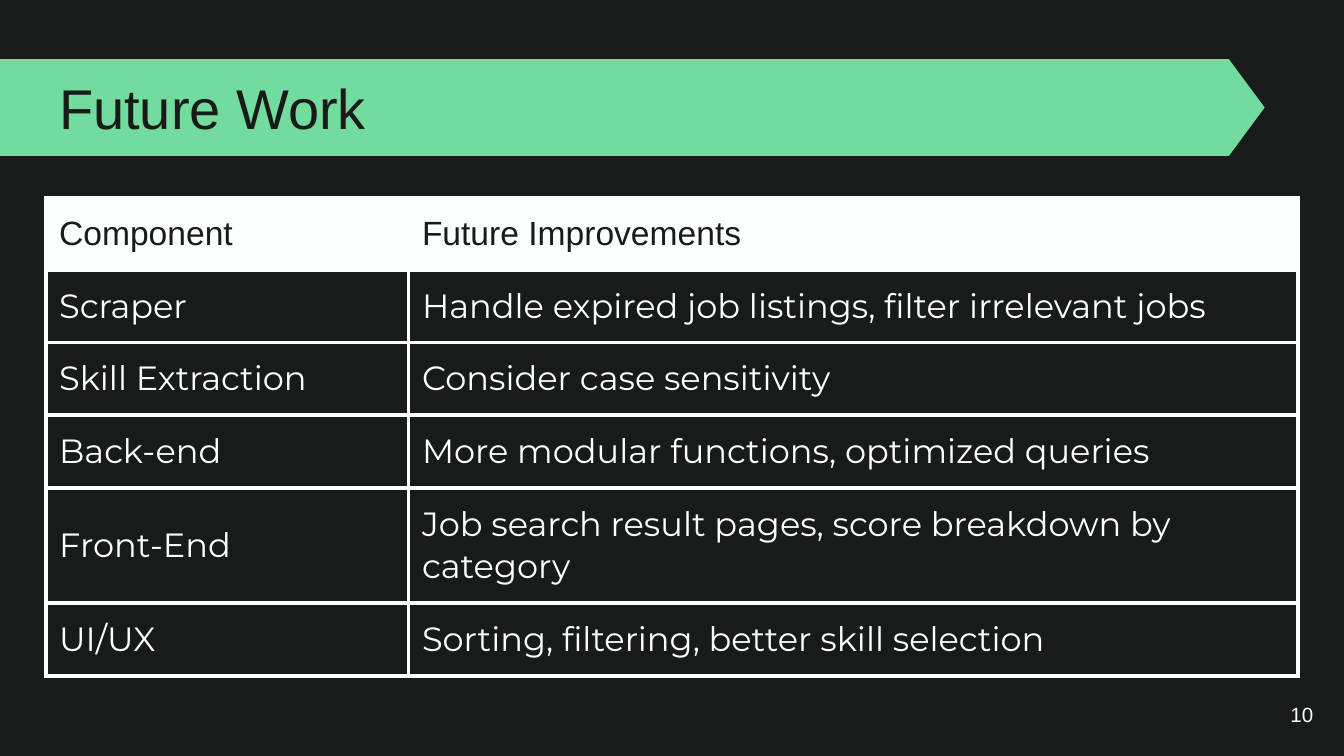
"""Builds the Future Work slide with its table of planned improvements."""
from lxml import etree
from pptx import Presentation
from pptx.dml.color import RGBColor
from pptx.enum.shapes import MSO_SHAPE
from pptx.enum.text import MSO_ANCHOR, PP_ALIGN
from pptx.oxml.ns import qn
from pptx.util import Inches, Pt

PENTAGON = MSO_SHAPE.PENTAGON
MIDDLE = MSO_ANCHOR.MIDDLE
LEFT, RIGHT = PP_ALIGN.LEFT, PP_ALIGN.RIGHT
DARK, LIGHT, GREEN = "191B1A", "FDFFFE", "72DB9E"
MARGIN = Inches(0.1)
TITLE_ONLY = 5


def color(value):
    """Turns a hex string into a colour."""
    return RGBColor.from_string(value)


def write(frame, text, size, font, tint, align=LEFT):
    """Fills a text frame with one formatted paragraph."""
    frame.text = text
    frame.word_wrap = True
    para = frame.paragraphs[0]
    para.alignment = align
    span = para.runs[0]
    span.font.size = Pt(size)
    span.font.name = font
    span.font.color.rgb = color(tint)


deck = Presentation()
deck.slide_width = Inches(10)
deck.slide_height = Inches(10 * 9 / 16)
page = deck.slides.add_slide(deck.slide_layouts[TITLE_ONLY])
page.background.fill.solid()
page.background.fill.fore_color.rgb = color(DARK)

banner = page.shapes.add_shape(PENTAGON, 0, Inches(0.44), Inches(9.41), Inches(0.72))
banner.adjustments[0] = 0.37
banner.shadow.inherit = False
banner.fill.solid()
banner.fill.fore_color.rgb = color(GREEN)
banner.line.fill.background()
page.shapes._spTree.insert(2, banner._element)

title = page.shapes.title
title.left, title.top = Inches(0.34), Inches(0.44)
title.width, title.height = Inches(9.32), Inches(0.72)
write(title.text_frame, "Future Work", 30, "Arial", DARK)

number = page.shapes.add_textbox(Inches(9.27), Inches(5.1), Inches(0.6), Inches(0.43))
write(number.text_frame, "10", 11, "Arial", LIGHT, RIGHT)

for box in (title, number):
    frame = box.text_frame
    frame.vertical_anchor = MIDDLE
    frame.margin_left = frame.margin_right = MARGIN
    frame.margin_top = frame.margin_bottom = MARGIN

rows = [
    ("Component", "Future Improvements"),
    ("Scraper", "Handle expired job listings, filter irrelevant jobs"),
    ("Skill Extraction", "Consider case sensitivity"),
    ("Back-end", "More modular functions, optimized queries"),
    ("Front-End", "Job search result pages, score breakdown by category"),
    ("UI/UX", "Sorting, filtering, better skill selection"),
]
heights = [0.54, 0.54, 0.54, 0.54, 0.86, 0.54]
widths = [2.7, 6.62]
table = page.shapes.add_table(
    len(rows), len(widths), Inches(0.34), Inches(1.47),
    Inches(sum(widths)), Inches(sum(heights)),
).table
table.horz_banding = False
for column, width in zip(table.columns, widths):
    column.width = Inches(width)

for row_index, (texts, height) in enumerate(zip(rows, heights)):
    table.rows[row_index].height = Inches(height)
    is_header = row_index == 0
    for column_index, text in enumerate(texts):
        cell = table.cell(row_index, column_index)
        font, tint = ("Arial", DARK) if is_header else ("Montserrat", LIGHT)
        write(cell.text_frame, text, 18, font, tint)
        cell.vertical_anchor = MIDDLE
        cell.margin_left = cell.margin_right = MARGIN
        cell.margin_top = cell.margin_bottom = MARGIN
        properties = cell._tc.get_or_add_tcPr()
        for side in ("a:lnL", "a:lnR", "a:lnT", "a:lnB"):
            border = etree.SubElement(properties, qn(side), w=str(Pt(2.25)))
            solid = etree.SubElement(border, qn("a:solidFill"))
            etree.SubElement(solid, qn("a:srgbClr"), val=LIGHT)
        if is_header:
            cell.fill.solid()
            cell.fill.fore_color.rgb = color(LIGHT)
        else:
            cell.fill.background()

deck.save("out.pptx")
